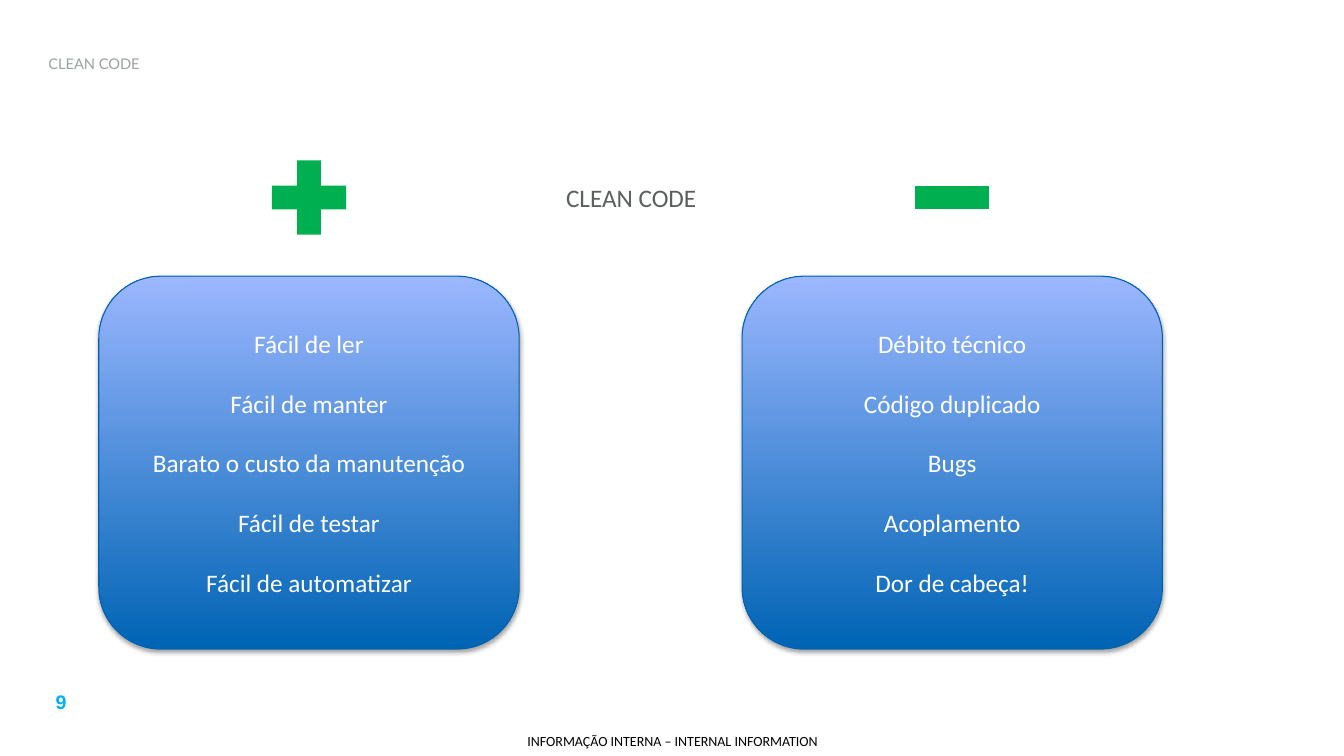
from dataclasses import dataclass

from lxml.etree import SubElement
from pptx import Presentation
from pptx.dml.color import RGBColor as Rgb
from pptx.enum.shapes import MSO_SHAPE as Shape
from pptx.enum.text import MSO_ANCHOR as Anchor, PP_ALIGN as Align
from pptx.oxml.ns import qn
from pptx.util import Inches, Pt

HUES = {
    "title": "9BA0A0", "head": "5A5F5F", "page": "00B0F0", "foot": "000000",
    "sign": "00B050", "low": "0064B4", "high": "9BB7FF", "edge": "0062B0",
    "text": "FFFFFF", "shade": "000000",
}


@dataclass
class Label:
    text: str
    box: tuple[float, float, float, float]
    size: float
    hue: str
    font: str = "Calibri"
    bold: bool = False
    pad: bool = True


@dataclass
class Side:
    left: float
    sign: Shape
    lines: list[str]


LABELS = [
    Label("9", (0.21, 6.8, 0.79, 0.34), 14, "page", "Arial", bold=True),
    Label("INFORMAÇÃO INTERNA – INTERNAL INFORMATION",
          (5.03, 7.21, 3.28, 0.29), 10, "foot", pad=False),
    Label("CLEAN CODE", (4.45, 1.76, 3.62, 0.4), 18, "head"),
]
SIDES = [
    Side(0.98, Shape.MATH_PLUS,
         ["Fácil de ler", "Fácil de manter", "Barato o custo da manutenção",
          "Fácil de testar", "Fácil de automatizar"]),
    Side(7.36, Shape.MATH_MINUS,
         ["Débito técnico", "Código duplicado", "Bugs", "Acoplamento",
          "Dor de cabeça!"]),
]
CARD_TOP, CARD_WIDE, CARD_HIGH = 2.74, 4.17, 3.7
SIGN_TOP, SIGN_SIZE = 1.46, 1


def hue(name: str) -> Rgb:
    return Rgb.from_string(HUES[name])


def style(frame, size: float, name: str, font: str, bold: bool = False,
          align: Align = Align.CENTER, gap: float = 0) -> None:
    for i, para in enumerate(frame.paragraphs):
        para.alignment = align
        para.space_before = Pt(gap if i else 0)
        for run in para.runs:
            run.font.size, run.font.name = Pt(size), font
            run.font.bold = bold
            run.font.color.rgb = hue(name)


def add_label(slide, label: Label) -> None:
    frame = slide.shapes.add_textbox(*map(Inches, label.box)).text_frame
    frame.word_wrap = True
    if not label.pad:
        frame.margin_left = frame.margin_right = 0
        frame.margin_top = frame.margin_bottom = 0
        frame.vertical_anchor = Anchor.MIDDLE
    frame.text = label.text
    style(frame, label.size, label.hue, label.font, label.bold)


def add_shade(shape) -> None:
    shape.shadow.inherit = False
    effect = shape._element.spPr.find(qn("a:effectLst"))
    outer = SubElement(effect, qn("a:outerShdw"), blurRad=str(Pt(3.1)),
                       dist=str(Pt(1.8)), dir="5400000", rotWithShape="0")
    color = SubElement(outer, qn("a:srgbClr"), val=HUES["shade"])
    SubElement(color, qn("a:alpha"), val="35000")


def add_side(slide, side: Side) -> None:
    # Green sign centred over the card
    left = side.left + (CARD_WIDE - SIGN_SIZE) / 2
    sign = slide.shapes.add_shape(
        side.sign, *map(Inches, (left, SIGN_TOP, SIGN_SIZE, SIGN_SIZE)))
    sign.shadow.inherit = False
    sign.fill.solid()
    sign.fill.fore_color.rgb = hue("sign")
    sign.line.fill.background()

    # Blue card with its list
    card = slide.shapes.add_shape(
        Shape.ROUNDED_RECTANGLE,
        *map(Inches, (side.left, CARD_TOP, CARD_WIDE, CARD_HIGH)))
    card.fill.gradient()
    card.fill.gradient_angle = 90
    for stop, name in zip(card.fill.gradient_stops, ("low", "high")):
        stop.color.rgb = hue(name)
    card.line.color.rgb = hue("edge")
    card.line.width = Pt(0.75)
    add_shade(card)
    frame = card.text_frame
    frame.word_wrap = True
    frame.vertical_anchor = Anchor.MIDDLE
    frame.text = "\n".join(side.lines)
    style(frame, 18, "text", "Calibri", gap=21)


def main() -> None:
    deck = Presentation()
    deck.slide_width, deck.slide_height = Inches(13.33), Inches(7.5)
    slide = deck.slides.add_slide(deck.slide_layouts[5])

    # Title
    title = slide.shapes.title
    title.left, title.top = Inches(0.38), Inches(0.38)
    title.width, title.height = Inches(11.88), Inches(0.5)
    title.text_frame.text = "CLEAN CODE"
    title.text_frame.vertical_anchor = Anchor.MIDDLE
    style(title.text_frame, 10.5, "title", "Lato", align=Align.LEFT)

    # Heading, page number and footer
    for label in LABELS:
        add_label(slide, label)

    # Pros and cons
    for side in SIDES:
        add_side(slide, side)

    deck.save("out.pptx")


if __name__ == "__main__":
    main()
